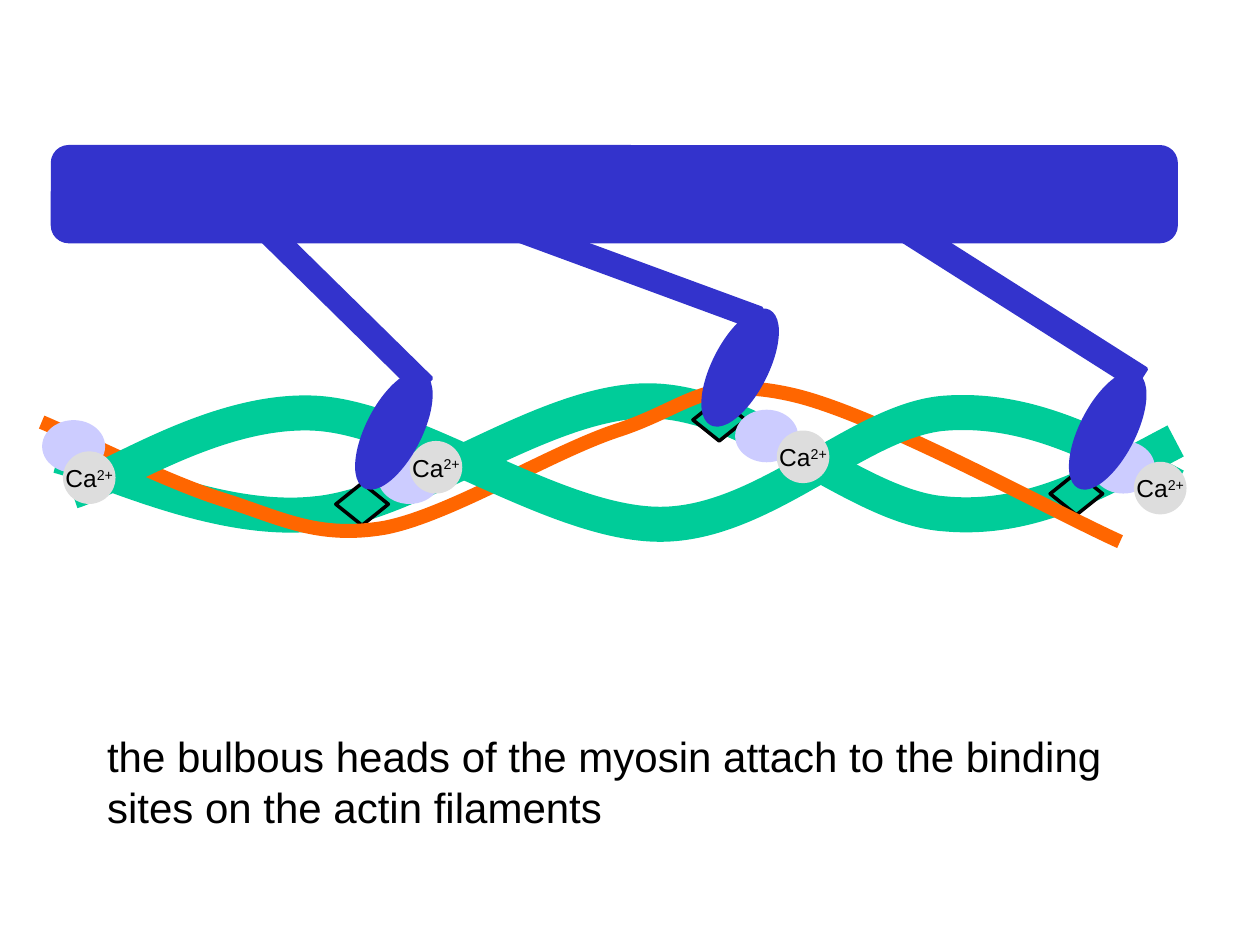
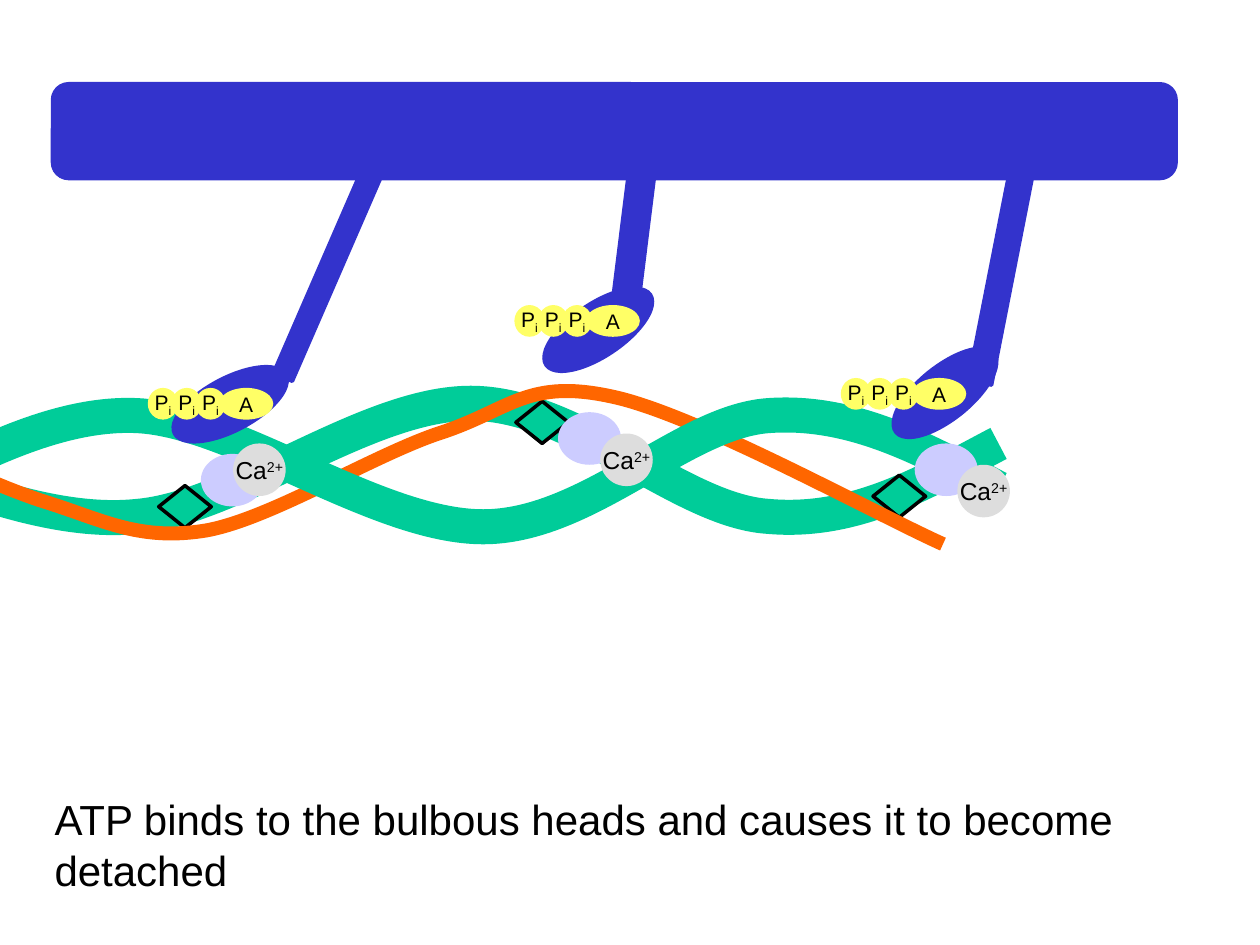
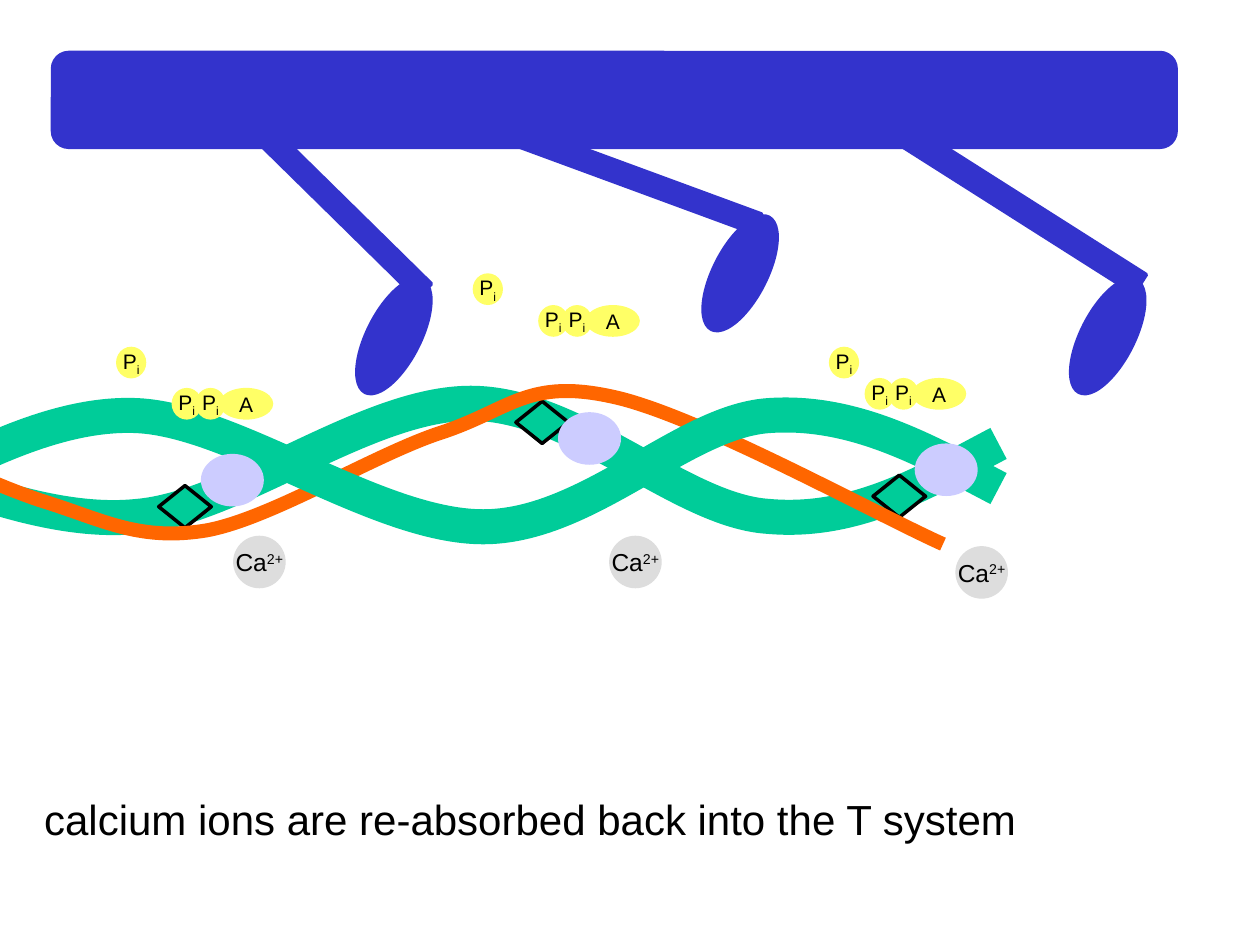
import lxml.etree
import pptx
import pptx.dml.color
import pptx.enum.shapes
import pptx.enum.text
import pptx.oxml.ns
import pptx.util

Cm = pptx.util.Cm
Pt = pptx.util.Pt
SHAPE = pptx.enum.shapes.MSO_SHAPE
ALIGN = pptx.enum.text.PP_ALIGN

FONT = "Arial"
BLACK = "000000"
ACTIN = "00CC99"
TROPOMYOSIN = "FF6600"
TROPONIN = "CCCCFF"
CALCIUM = "DDDDDD"
MYOSIN = "3333CC"
ATP = "FFFF66"

# Bézier points in cm: a start, then two handles and an end for each curve
LOWER_STRAND = [
    (1.17, 9.19), (2.03, 9.4), (4.37, 10.57), (6.35, 10.36),
    (8.33, 10.19), (10.95, 8.08), (13.06, 8.08),
    (15.19, 8.08), (17.27, 10.24), (19.05, 10.36),
    (20.83, 10.52), (22.25, 9.65), (23.7, 8.89)]
UPPER_STRAND = [
    (1.45, 9.91), (2.29, 9.65), (4.37, 8.23), (6.35, 8.33),
    (8.33, 8.43), (11.18, 10.57), (13.31, 10.57),
    (15.42, 10.57), (17.32, 8.46), (19.05, 8.33),
    (20.78, 8.2), (22.25, 9.04), (23.7, 9.8)]
TROPOMYOSIN_STRAND = [
    (0.84, 8.51), (1.45, 8.76), (3.38, 9.73), (4.52, 10.08),
    (5.66, 10.44), (6.4, 10.87), (7.75, 10.64),
    (9.07, 10.39), (11.15, 9.09), (12.5, 8.66),
    (13.87, 8.2), (14.22, 7.57), (15.93, 7.95),
    (17.6, 8.31), (21.18, 10.29), (22.58, 10.92)]
BINDING_SITES = [(21.17, 9.53), (13.97, 8.04), (6.77, 9.74)]
TROPONINS = [(14.82, 8.26), (0.85, 8.47), (22.01, 8.89), (7.62, 9.1)]
SLID = (-3.57, 0.05)

# Necks: left, top, length, thickness, rotation. Heads: left, top, rotation.
# Tops are measured from the top of the thick filament.
TILTED = {
    "necks": [(4.02, 2.75, 5.29, 0.42, 44.5), (17.27, 2.78, 6.2, 0.46, 32.4),
              (10.16, 2.33, 5.29, 0.42, 20.2)],
    "heads": [(7.41, 4.45, 27.1), (21.8, 4.45, 27.1), (14.39, 3.18, 27.1)]}
SWUNG = {
    "necks": [(4.11, 3.28, 5.29, 0.42, 113.5), (17.55, 3.11, 5.46, 0.48, 101.1),
              (10.85, 2.17, 4.01, 0.53, 97.1)],
    "heads": [(4.11, 5.19, 62.1), (18.52, 4.96, 51.1), (11.53, 3.69, 56)]}

ADENOSINES = [(4.42, 7.82), (18.39, 7.62), (11.81, 6.15)]
PHOSPHATE_STEP = 0.48


def color(hex_text):
    return pptx.dml.color.RGBColor.from_string(hex_text)


def set_line(shape, line, width):
    if line is None:
        shape.line.fill.background()
    else:
        shape.line.color.rgb = color(line)
        shape.line.width = Pt(width)


def add_text(box, text, size, script="", baseline=0, align=ALIGN.LEFT, wrap=True):
    """Write text, followed by an optional raised or lowered script."""
    frame = box.text_frame
    frame.word_wrap = wrap
    para = frame.paragraphs[0]
    para.alignment = align
    for part, shift in ((text, 0), (script, baseline)):
        if part:
            span = para.add_run()
            span.text = part
            span.font.name = FONT
            span.font.size = Pt(size)
            span.font.color.rgb = color(BLACK)
            if shift:
                span.font._element.set("baseline", str(shift * 1000))


def add_shape(shapes, kind, left, top, width, height, fill, line=None, rotation=0):
    shape = shapes.add_shape(kind, Cm(left), Cm(top), Cm(width), Cm(height))
    shape.shadow.inherit = False
    shape.fill.solid()
    shape.fill.fore_color.rgb = color(fill)
    set_line(shape, line, 2)
    shape.rotation = rotation
    return shape


def add_molecule(shapes, left, top, width, height, fill, text, size, **script):
    molecule = add_shape(shapes, SHAPE.OVAL, left, top, width, height, fill)
    molecule.text_frame.vertical_anchor = pptx.enum.text.MSO_ANCHOR.MIDDLE
    add_text(molecule, text, size, align=ALIGN.CENTER, wrap=False, **script)


def add_strand(shapes, points, shift, line, width):
    """Draw a smooth open curve through Bézier points."""
    places = [(Cm(x + shift[0]), Cm(y + shift[1])) for x, y in points]
    builder = shapes.build_freeform(*places[0])
    builder.add_line_segments(places[1:], close=False)
    strand = builder.convert_to_shape()
    strand.shadow.inherit = False
    strand.fill.background()
    set_line(strand, line, width)
    segments = strand._element.xpath(".//a:lnTo")
    for first in range(0, len(segments), 3):
        curve = lxml.etree.Element(pptx.oxml.ns.qn("a:cubicBezTo"))
        segments[first].addprevious(curve)
        for segment in segments[first:first + 3]:
            curve.append(segment[0])
            segment.getparent().remove(segment)


def add_thin_filament(shapes, shift=(0, 0)):
    across, down = shift
    add_strand(shapes, LOWER_STRAND, shift, ACTIN, 20)
    for left, top in BINDING_SITES:
        add_shape(shapes, SHAPE.DIAMOND, left + across, top + down, 1.06, 0.85,
                  ACTIN, BLACK)
    add_strand(shapes, TROPOMYOSIN_STRAND, shift, TROPOMYOSIN, 8)
    add_strand(shapes, UPPER_STRAND, shift, ACTIN, 20)
    for left, top in TROPONINS:
        if left + across > 0:
            add_shape(shapes, SHAPE.OVAL, left + across, top + down, 1.27, 1.06,
                      TROPONIN)


def add_calcium(shapes, places):
    for left, top in places:
        add_molecule(shapes, left, top, 1.06, 1.06, CALCIUM, "Ca", 14,
                     script="2+", baseline=30)


def add_myosin(page, top, pose):
    shapes = page.shapes.add_group_shape().shapes
    bar = add_shape(shapes, SHAPE.ROUNDED_RECTANGLE, 1.06, top, 22.65, 1.91,
                    MYOSIN, MYOSIN)
    bar.adjustments[0] = 0.17
    for left, drop, length, thickness, rotation in pose["necks"]:
        add_shape(shapes, SHAPE.RECTANGLE, left, top + drop, length, thickness,
                  MYOSIN, MYOSIN, rotation)
    for left, drop, rotation in pose["heads"]:
        add_shape(shapes, SHAPE.OVAL, left, top + drop, 1.06, 2.54,
                  MYOSIN, MYOSIN, rotation)


def add_phosphate(shapes, left, top):
    add_molecule(shapes, left, top, 0.61, 0.64, ATP, "P", 12,
                 script="i", baseline=-25)


def add_adenosine_phosphates(page, phosphates):
    """Draw ATP (3 phosphates) or ADP (2 phosphates) at every head."""
    for left, top in ADENOSINES:
        shapes = page.shapes.add_group_shape().shapes
        add_molecule(shapes, left, top, 1.09, 0.64, ATP, "A", 12)
        for place in (2, 1, 3):
            if place != 3 or phosphates == 3:
                add_phosphate(shapes, left - place * PHOSPHATE_STEP, top)


def add_caption(page, text, left, top, width, height):
    box = page.shapes.add_textbox(Cm(left), Cm(top), Cm(width), Cm(height))
    add_text(box, text, 24)


def add_page(deck):
    return deck.slides.add_slide(deck.slide_layouts.get_by_name("Blank"))


def add_attachment_page(deck):
    page = add_page(deck)
    add_thin_filament(page.shapes)
    add_calcium(page.shapes, [(8.26, 8.89), (1.27, 9.1), (15.66, 8.68), (22.86, 9.31)])
    add_myosin(page, 2.96, TILTED)
    add_caption(page, "the bulbous heads of the myosin attach to the binding "
                "sites on the actin filaments", 1.91, 14.61, 21.59, 2.29)


def add_detachment_page(deck):
    page = add_page(deck)
    add_thin_filament(page.shapes, SLID)
    add_calcium(page.shapes, [(4.7, 8.94), (12.1, 8.74), (19.3, 9.37)])
    add_myosin(page, 1.69, SWUNG)
    add_adenosine_phosphates(page, 3)
    add_caption(page, "ATP binds to the bulbous heads and causes it to become "
                "detached", 0.85, 15.88, 22.65, 2.29)


def add_reabsorption_page(deck):
    page = add_page(deck)
    add_thin_filament(page.shapes, SLID)
    add_calcium(page.shapes, [(4.7, 10.8), (12.28, 10.8), (19.26, 11.01)])
    add_adenosine_phosphates(page, 2)
    for left, top in [(2.34, 6.99), (16.71, 6.99), (9.53, 5.51)]:
        add_phosphate(page.shapes, left, top)
    add_myosin(page, 1.06, TILTED)
    add_caption(page, "calcium ions are re-absorbed back into the T system",
                0.64, 15.88, 23.92, 1.27)


def main():
    deck = pptx.Presentation()
    deck.slide_width = Cm(25.4)
    deck.slide_height = Cm(19.05)
    add_attachment_page(deck)
    add_detachment_page(deck)
    add_reabsorption_page(deck)
    deck.save("out.pptx")


if __name__ == "__main__":
    main()
